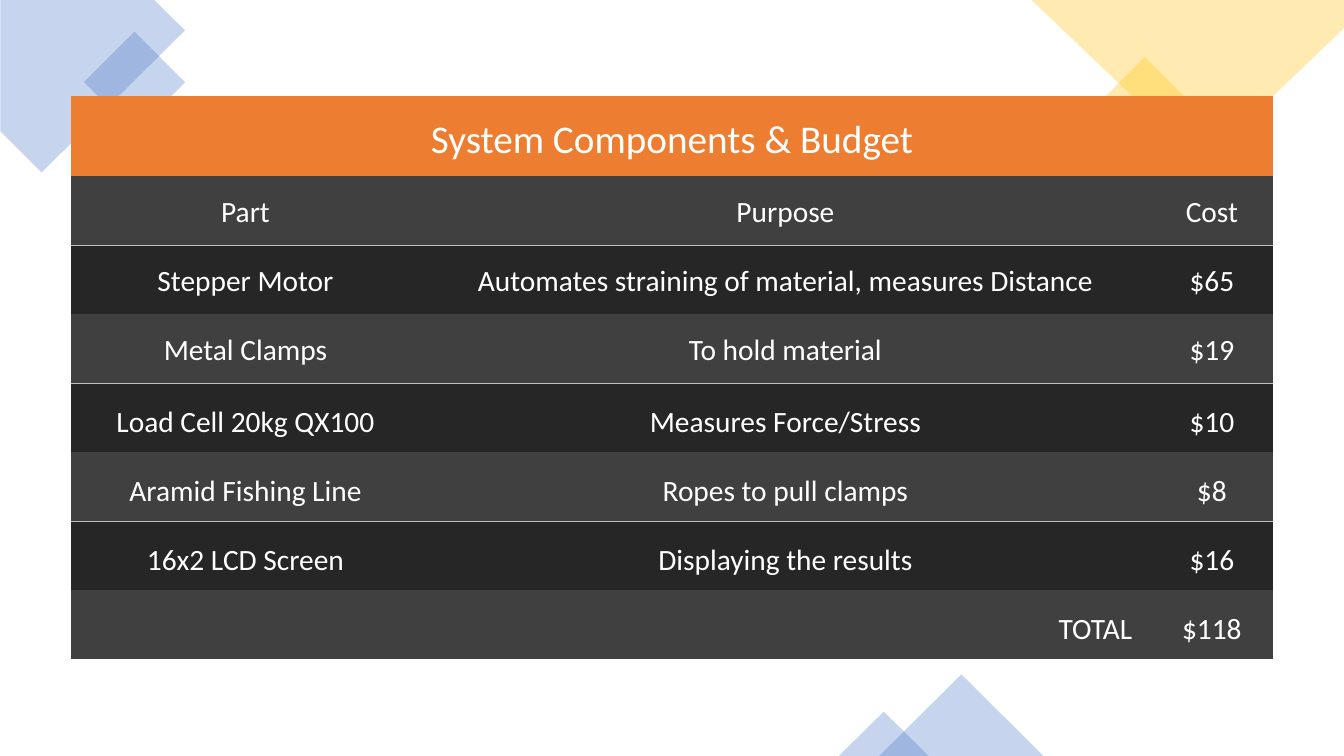
import math
from dataclasses import dataclass

from lxml import etree
from pptx import Presentation
from pptx.dml import color
from pptx.enum import shapes, text
from pptx.oxml import ns
from pptx.util import Inches, Pt

HUES = {
    "blue": "4472C4",
    "gold": "FFC000",
    "orange": "ED7D31",
    "light": "404040",
    "dark": "262626",
    "rule": "BFBFBF",
    "white": "FFFFFF",
}
FONT = "Calibri"
WIDTHS = (3.47, 7.24, 1.22)
TOP = 0.8
HEIGHT = 5.59
GRAIN = 1000
ROWS = (
    ("System Components & Budget", "", ""),
    ("Part", "Purpose", "Cost"),
    ("Stepper Motor", "Automates straining of material, measures Distance", "$65"),
    ("Metal Clamps", "To hold material", "$19"),
    ("Load Cell 20kg QX100", "Measures Force/Stress", "$10"),
    ("Aramid Fishing Line", "Ropes to pull clamps", "$8"),
    ("16x2 LCD Screen", "Displaying the results", "$16"),
    ("TOTAL", "", "$118"),
)


@dataclass
class Preset:
    kind: shapes.MSO_SHAPE
    left: float
    top: float
    width: float
    height: float
    hue: str
    turn: int = 0


@dataclass
class Outline:
    points: tuple
    pivot: tuple
    hue: str
    turn: int


CORNERS = (
    Outline(((0, 0), (1.53, 0), (1.83, 0.3), (0.41, 1.71), (0, 1.3)), (0.59, 0.48), "blue", 315),
    Preset(shapes.MSO_SHAPE.RECTANGLE, 0.98, 0.46, 0.71, 0.71, "blue", 315),
    Preset(shapes.MSO_SHAPE.RECTANGLE, 10.98, 0.72, 0.75, 0.75, "gold", 315),
    Outline(((13.33, 0), (10.23, 0), (11.93, 1.62), (13.33, 0.28)), (11.78, 0.81), "gold", 180),
    Preset(shapes.MSO_SHAPE.ISOSCELES_TRIANGLE, 8.72, 6.69, 1.63, 0.81, "blue"),
    Preset(shapes.MSO_SHAPE.ISOSCELES_TRIANGLE, 8.32, 7.06, 0.89, 0.44, "blue"),
)


def tint(name: str) -> color.RGBColor:
    return color.RGBColor.from_string(HUES[name])


def unturn(point: tuple, pivot: tuple, turn: int) -> tuple:
    angle = math.radians(-turn)
    x, y = point[0] - pivot[0], point[1] - pivot[1]
    return (
        GRAIN * (pivot[0] + x * math.cos(angle) - y * math.sin(angle)),
        GRAIN * (pivot[1] + x * math.sin(angle) + y * math.cos(angle)),
    )


def draw(slide, item) -> None:
    if isinstance(item, Outline):
        first, *rest = [unturn(p, item.pivot, item.turn) for p in item.points]
        pen = slide.shapes.build_freeform(*first, scale=Inches(1) / GRAIN)
        pen.add_line_segments(rest, close=True)
        shape = pen.convert_to_shape()
    else:
        box = map(Inches, (item.left, item.top, item.width, item.height))
        shape = slide.shapes.add_shape(item.kind, *box)
    shape.rotation = item.turn
    shape.shadow.inherit = False
    shape.line.fill.background()
    shape.fill.solid()
    shape.fill.fore_color.rgb = tint(item.hue)
    tone = shape.fill._xPr.find(".//" + ns.qn("a:srgbClr"))
    etree.SubElement(tone, ns.qn("a:alpha"), val="30000")


def border(cell, ruled: str) -> None:
    props = cell._tc.get_or_add_tcPr()
    for spot, side in enumerate(("lnL", "lnR", "lnT", "lnB")):
        line = etree.Element(ns.qn("a:" + side), w=str(Pt(1)))
        if side == ruled:
            fill = etree.SubElement(line, ns.qn("a:solidFill"))
            etree.SubElement(fill, ns.qn("a:srgbClr"), val=HUES["rule"])
        else:
            etree.SubElement(line, ns.qn("a:noFill"))
        props.insert(spot, line)


def style(cell, words: str, row: int) -> None:
    last = len(ROWS) - 1
    cell.fill.solid()
    cell.fill.fore_color.rgb = tint("orange" if row == 0 else "light" if row % 2 else "dark")
    ruled = "" if row in (0, last) else "lnB" if row % 2 else "lnT"
    border(cell, ruled)
    cell.margin_left = cell.margin_right = cell.margin_top = Inches(0.18)
    cell.margin_bottom = Inches(0.09)
    cell.vertical_anchor = text.MSO_ANCHOR.TOP if row in (1, 2, 3) else text.MSO_ANCHOR.MIDDLE
    para = cell.text_frame.paragraphs[0]
    para.text = words
    para.alignment = text.PP_ALIGN.RIGHT if words == "TOTAL" else text.PP_ALIGN.CENTER
    para.font.size = Pt(21)
    for run in para.runs:
        run.font.name = FONT
        run.font.size = Pt(28 if row == 0 else 21)
        run.font.color.rgb = tint("white")


def budget(slide) -> None:
    box = map(Inches, (0.7, 0.95, sum(WIDTHS), HEIGHT))
    table = slide.shapes.add_table(len(ROWS), len(WIDTHS), *box).table
    table.horz_banding = False
    for column, width in zip(table.columns, WIDTHS):
        column.width = Inches(width)
    final = len(ROWS) - 1
    rest = (HEIGHT - TOP) / final
    for row, words in enumerate(ROWS):
        table.rows[row].height = Inches(rest if row else TOP)
        for col, word in enumerate(words):
            style(table.cell(row, col), word, row)
    table.cell(0, 0).merge(table.cell(0, 2))
    table.cell(final, 0).merge(table.cell(final, 1))


def main() -> None:
    deck = Presentation()
    deck.slide_width, deck.slide_height = Inches(13.33), Inches(7.5)
    slide = deck.slides.add_slide(deck.slide_layouts[6])
    for item in CORNERS:
        draw(slide, item)
    budget(slide)
    deck.save("out.pptx")


if __name__ == "__main__":
    main()
